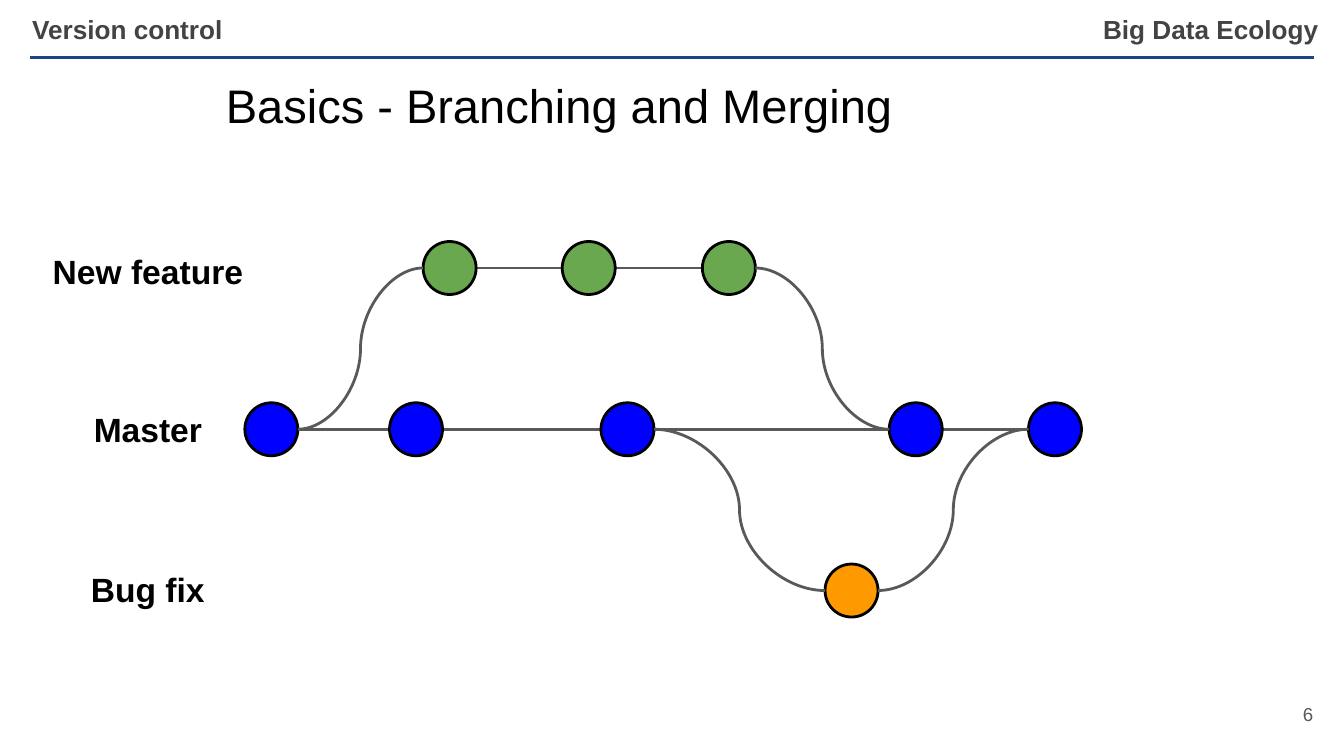
from itertools import pairwise

from lxml.etree import SubElement
from pptx import Presentation
from pptx.dml.color import RGBColor
from pptx.enum.shapes import MSO_CONNECTOR as Connector, MSO_SHAPE as Shape
from pptx.enum.text import MSO_ANCHOR as Anchor, MSO_AUTO_SIZE as AutoSize, PP_ALIGN as Align
from pptx.oxml.ns import qn
from pptx.util import Pt

FONT = "Arial"
DIAMETER = 28.4
RADIUS = DIAMETER / 2
MASTER_Y = 230
LANE_GAP = 86.4
FEATURE_Y = MASTER_Y - LANE_GAP
FIX_Y = MASTER_Y + LANE_GAP
MASTER_X = [145.4, 222.9, 336.2, 490.6, 565.2]
FEATURE_X = [240.9, 315.4, 390.5]
FIX_X = [456.2]


def color(value):
    """Turn a hex string into a colour."""
    return RGBColor.from_string(value)


def write_text(shape, text, size, hex_color, bold=False, align=Align.LEFT, anchor=Anchor.TOP):
    """Put one formatted paragraph into a shape."""
    frame = shape.text_frame
    frame.text = text
    frame.word_wrap = True
    frame.auto_size = AutoSize.NONE
    frame.vertical_anchor = anchor
    frame.margin_left = frame.margin_right = Pt(7.2)
    frame.margin_top = frame.margin_bottom = Pt(7.2)
    paragraph = frame.paragraphs[0]
    paragraph.alignment = align
    font = paragraph.runs[0].font
    font.name, font.size, font.bold = FONT, Pt(size), bold
    font.color.rgb = color(hex_color)


def add_text(slide, box, text, size, hex_color, **style):
    """Add a text box at left, top, width and height."""
    shape = slide.shapes.add_textbox(*map(Pt, box))
    write_text(shape, text, size, hex_color, **style)


def add_title(slide, box, text):
    """Place and fill the title placeholder."""
    title = slide.shapes.title
    title.left, title.top, title.width, title.height = map(Pt, box)
    write_text(title, text, 25.2, "000000")


def add_line(slide, start, end, hex_color="595959", kind=Connector.STRAIGHT):
    """Add a connector without shadow between two points."""
    line = slide.shapes.add_connector(kind, *map(Pt, (*start, *end)))
    line.line.color.rgb = color(hex_color)
    line.line.width = Pt(1.5)
    SubElement(line._element.spPr, qn("a:effectLst"))


def link_commits(slide, start, end):
    """Link the right side of one commit to the left side of a later one."""
    kind = Connector.STRAIGHT if start[1] == end[1] else Connector.CURVE
    add_line(slide, (start[0] + RADIUS, start[1]), (end[0] - RADIUS, end[1]), kind=kind)


def add_commit(slide, center, fill):
    """Add a commit circle around its center."""
    x, y = center
    circle = slide.shapes.add_shape(
        Shape.OVAL, Pt(x - RADIUS), Pt(y - RADIUS), Pt(DIAMETER), Pt(DIAMETER))
    circle.shadow.inherit = False
    circle.fill.solid()
    circle.fill.fore_color.rgb = color(fill)
    circle.line.color.rgb = color("000000")
    circle.line.width = Pt(1.5)


def add_branch(slide, label, label_top, commits, fill):
    """Add a branch with its label, links and commits."""
    add_text(slide, (13, label_top, 132.5, 36), label, 18, "000000", bold=True, align=Align.CENTER)
    for start, end in pairwise(commits):
        link_commits(slide, start, end)
    for center in commits:
        add_commit(slide, center, fill)


def add_frame(slide):
    """Add the running heads, the rule and the page number."""
    add_text(slide, (10.1, 0, 221, 31.7), "Version control", 14, "434343", bold=True)
    add_text(slide, (395.3, 0, 318.2, 31.7), "Big Data Ecology", 14, "434343",
             bold=True, align=Align.RIGHT)
    add_line(slide, (16.3, 31), (703.7, 31), "1C4587")
    add_text(slide, (667.4, 367.2, 43.2, 31), "6", 10, "595959",
             align=Align.RIGHT, anchor=Anchor.MIDDLE)


def main():
    """Build and save the slide."""
    presentation = Presentation()
    presentation.slide_width, presentation.slide_height = Pt(720), Pt(405)
    slide = presentation.slides.add_slide(presentation.slide_layouts[5])
    add_frame(slide)
    add_title(slide, (113.8, 33.8, 409.7, 45.4), "Basics - Branching and Merging")

    master = [(x, MASTER_Y) for x in MASTER_X]
    feature = [(x, FEATURE_Y) for x in FEATURE_X]
    fix = [(x, FIX_Y) for x in FIX_X]
    add_branch(slide, "New feature", 127.5, feature, "6AA84F")
    add_branch(slide, "Master", 211.7, master, "0000FF")
    add_branch(slide, "Bug fix", 297.4, fix, "FF9900")

    link_commits(slide, master[0], feature[0])
    link_commits(slide, feature[-1], master[3])
    link_commits(slide, master[2], fix[0])
    link_commits(slide, fix[-1], master[4])
    presentation.save("out.pptx")


if __name__ == "__main__":
    main()
